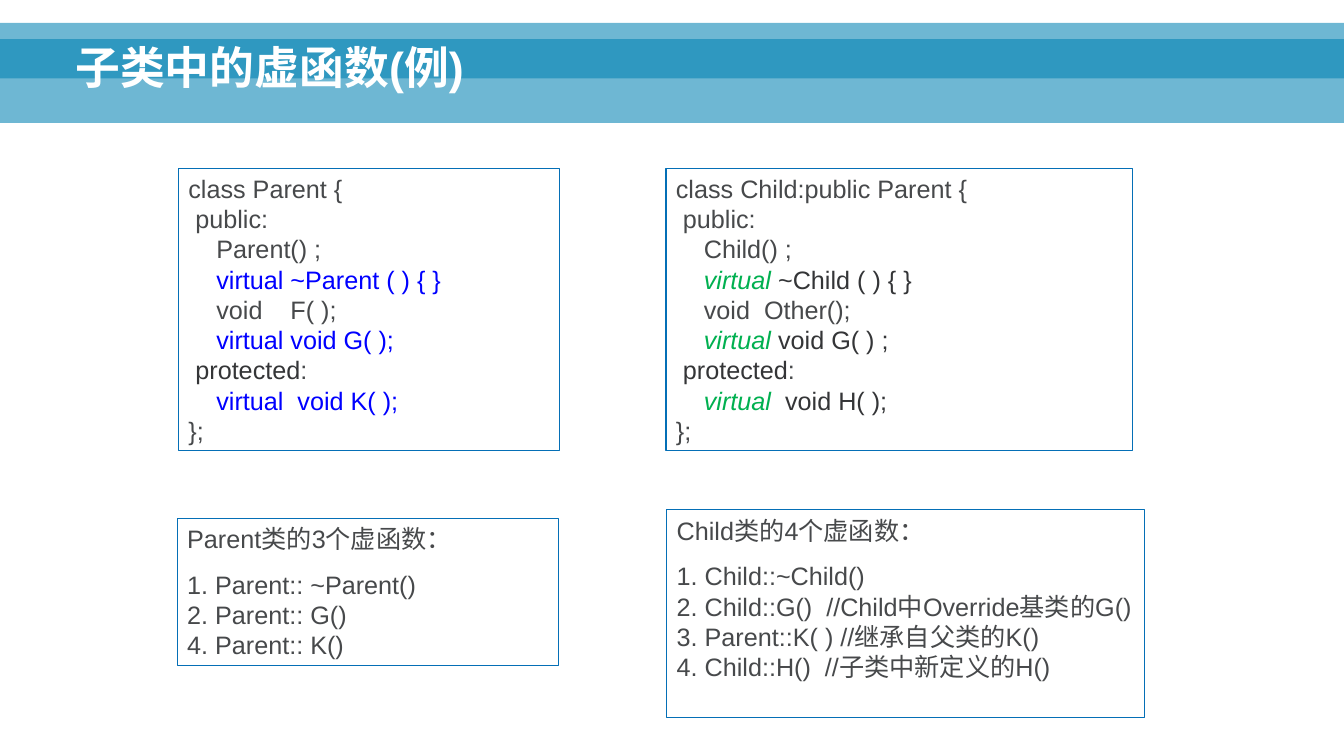
from lxml.etree import SubElement
from pptx import Presentation
from pptx.dml.color import RGBColor
from pptx.enum.shapes import MSO_SHAPE as SHAPE
from pptx.enum.text import MSO_ANCHOR as ANCHOR, PP_ALIGN as ALIGN
from pptx.oxml.ns import qn
from pptx.util import Cm, Pt

COLORS = {
    "band": "0082B3",
    "border": "046FB6",
    "white": "FFFFFF",
    "text": "47494B",
    "dark": "343537",
    "blue": "0000FF",
    "green": "00B050",
}
FONT = "Arial"
SLIDE_W, SLIDE_H = 33.88, 19.05

PARENT_CODE = [
    [("class Parent {", "text")],
    [(" public:", "text")],
    [("    Parent() ;", "text")],
    [("    virtual ~Parent ( ) { }", "blue")],
    [("    void    F( );", "text")],
    [("    virtual void G( );", "blue")],
    [(" protected", "dark"), (":", "text")],
    [("    virtual  void K( );", "blue")],
    [("};", "text")],
]
CHILD_CODE = [
    [("class Child:public Parent {", "text")],
    [(" public:", "text")],
    [("    Child() ;", "text")],
    [("    virtual ", "green"), ("~Child ( ) { }", "dark")],
    [("    void  Other();", "text")],
    [("    virtual ", "green"), ("void G( ) ;", "dark")],
    [(" protected", "dark"), (":", "text")],
    [("    virtual  ", "green"), ("void H( );", "dark")],
    [("};", "text")],
]
PARENT_LIST = [
    "1. Parent:: ~Parent()",
    "2. Parent:: G()",
    "4. Parent:: K()",
]
CHILD_LIST = [
    "1. Child::~Child()",
    "2. Child::G()  //Child中Override基类的G()",
    "3. Parent::K( ) //继承自父类的K()",
    "4. Child::H()  //子类中新定义的H()",
]


def rgb(name):
    return RGBColor.from_string(COLORS[name])


def add_rect(slide, box, fill):
    sp = slide.shapes.add_shape(SHAPE.RECTANGLE, *map(Cm, box))
    sp.shadow.inherit = False
    sp.fill.solid()
    sp.fill.fore_color.rgb = rgb(fill)
    sp.line.fill.background()
    return sp


def add_header(slide, box, title):
    left, top, width, height = box
    for offset, band_h in ((0.41, 2.11), (0, 1.4)):
        sp = add_rect(slide, (left, top + offset, width, band_h), "band")
        color = sp.fill._xPr.find(".//" + qn("a:srgbClr"))
        SubElement(color, qn("a:alpha"), val="57000")
    tb = slide.shapes.add_textbox(
        Cm(left + 1.65), Cm(top - 0.3), Cm(width - 3.45), Cm(height - 0.31))
    tf = tb.text_frame
    tf.word_wrap = True
    tf.vertical_anchor = ANCHOR.BOTTOM
    p = tf.paragraphs[0]
    p.text = title
    p.line_spacing = 0.9
    p.font.name, p.font.size, p.font.bold = FONT, Pt(32), True
    p.font.color.rgb = rgb("white")


def add_panel(slide, box):
    sp = add_rect(slide, box, "white")
    sp.line.color.rgb = rgb("border")
    sp.line.width = Pt(0.75)
    tf = sp.text_frame
    tf.word_wrap = True
    tf.vertical_anchor = ANCHOR.TOP
    return tf


def add_line(tf, index):
    p = tf.add_paragraph() if index else tf.paragraphs[0]
    p.alignment = ALIGN.LEFT
    p.font.name, p.font.size = FONT, Pt(18)
    return p


def add_code(slide, box, lines):
    tf = add_panel(slide, box)
    for i, runs in enumerate(lines):
        p = add_line(tf, i)
        for text, color in runs:
            r = p.add_run()
            r.text = text
            r.font.color.rgb = rgb(color)
            if color == "green":
                r.font.italic = True


def add_list(slide, box, heading, items):
    tf = add_panel(slide, box)
    for i, text in enumerate([heading, *items]):
        p = add_line(tf, i)
        p.text = text
        p.font.color.rgb = rgb("text")
        if i == 1:
            p.space_before = Pt(11.2)


def main():
    prs = Presentation()
    prs.slide_width, prs.slide_height = Cm(SLIDE_W), Cm(SLIDE_H)
    slide = prs.slides.add_slide(prs.slide_layouts[6])
    add_header(slide, (0, 0.58, SLIDE_W, 2.52), "子类中的虚函数(例)")
    add_code(slide, (4.5, 4.24, 9.6, 7.11), PARENT_CODE)
    add_code(slide, (16.79, 4.24, 11.76, 7.11), CHILD_CODE)
    add_list(slide, (4.47, 13.06, 9.6, 3.71), "Parent类的3个虚函数：", PARENT_LIST)
    add_list(slide, (16.81, 12.85, 12.04, 5.23), "Child类的4个虚函数：", CHILD_LIST)
    prs.save("out.pptx")


if __name__ == "__main__":
    main()
